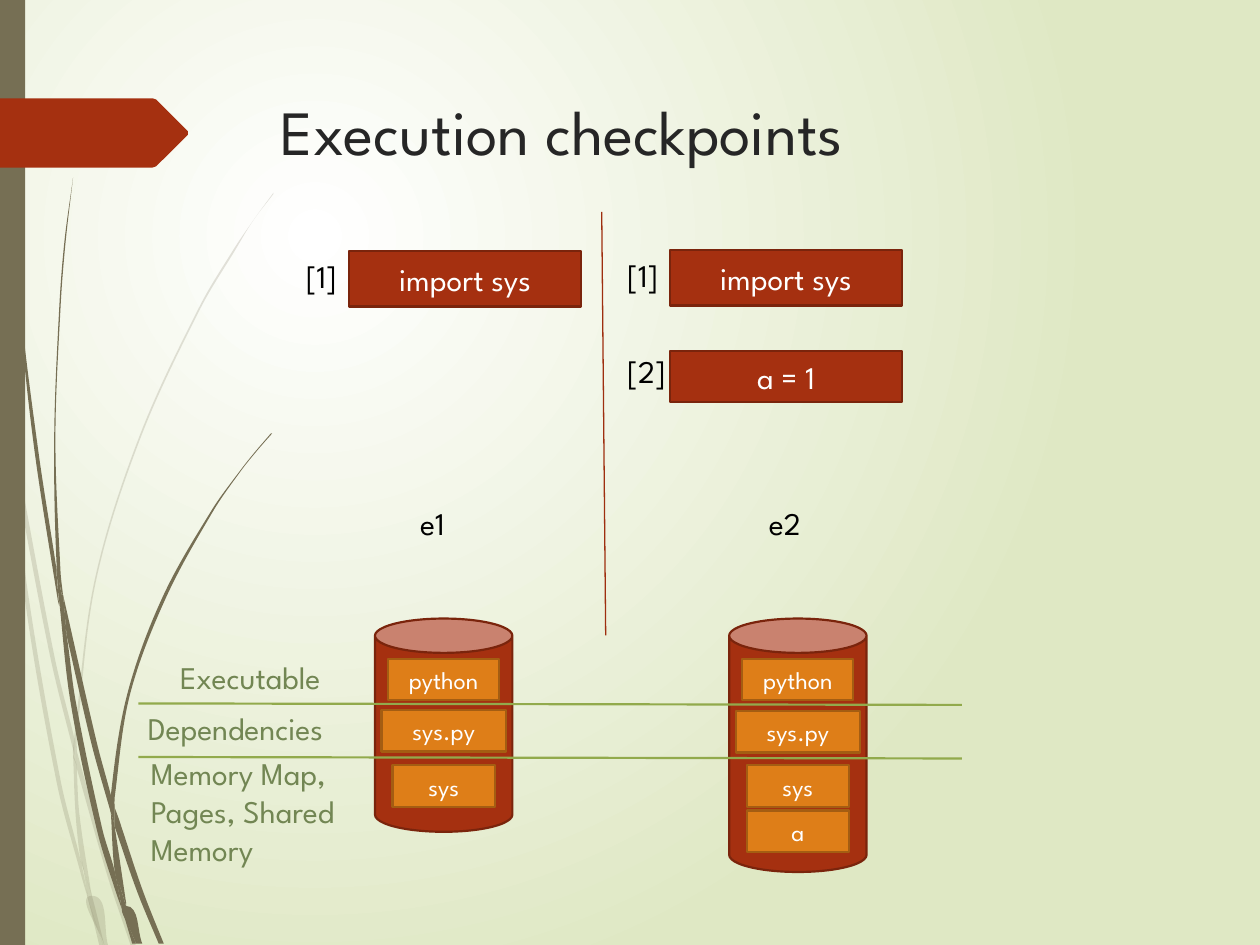
from lxml import etree
from pptx import Presentation
from pptx import util as u
from pptx.dml.color import RGBColor
from pptx.enum import shapes as kinds, text as styles
from pptx.oxml.ns import qn

FONT = "League Spartan"
COLORS = {
    "glow": "FFFFFF", "field": "DFE8C4", "stem": "766F54",
    "red": "A53010", "red edge": "7A240C", "red line": "9E2E0F",
    "orange": "DE7E18", "orange edge": "A45D12",
    "green line": "92AA4C", "green text": "728653",
    "title": "262626", "black": "000000", "white": "FFFFFF",
}

# Content: one column per checkpoint (lengths in cm)
TITLE = "Execution checkpoints"
CHECKPOINTS = [
    {"name": "e1", "name_left": 8.22, "number_left": 5.92, "cell_left": 7.04,
     "store_left": 7.56, "store_height": 4.3,
     "cells": [("[1]", "import sys", 5.05, 5.06, 1.12)],
     "layers": [("python", 2.24, 13.28), ("sys.py", 2.51, 14.31), ("sys", 2.06, 15.43)]},
    {"name": "e2", "name_left": 15.25, "number_left": 12.4, "cell_left": 13.51,
     "store_left": 14.7, "store_height": 5.11,
     "cells": [("[1]", "import sys", 5.03, 5.04, 1.12), ("[2]", "a = 1", 6.97, 7.07, 1.04)],
     "layers": [("python", 2.24, 13.28), ("sys.py", 2.51, 14.33), ("sys", 2.06, 15.43),
                ("a", 2.06, 16.34)]},
]
LAYER_LABELS = [
    ("Executable", 3.38, 13.14, 4.04, 1.02),
    ("Dependencies", 2.73, 14.17, 5.11, 1.02),
    ("Memory Map,\nPages, Shared\nMemory", 2.79, 15.08, 4.98, 2.57),
]
DIVIDERS = [
    (12.13, 4.27, 12.21, 12.81, "red line", 0.75),
    (2.79, 14.18, 19.39, 14.21, "green line", 1.25),
    (2.79, 15.26, 19.39, 15.29, "green line", 1.25),
]
CELL_WIDTH, STORE_WIDTH, STORE_TOP, LAYER_HEIGHT = 4.67, 2.77, 12.47, 0.84

# Grass outlines: x,y in units of 0.0254 cm, "/" parts the smooth edges
UNIT = 0.0254
PALE_GRASS = [
    "8,350 6,322 0,282 / 0,299 7,344 8,350",
    "12,376 40,522 59,599 / 59,586 43,520 10,345 / 12,376",
    "61,610 85,694 104,751 / 108,751 88,692 64,607 61,596",
    "83,751 / 86,751 73,711 83,751",
    "70,714 69,707 64,683 48,619 22,469 12,376 8,350 / 8,350 19,470 45,621 64,693 70,714",
    "58,599 60,646 64,683 67,692 73,711 / 73,711 72,706 63,646 61,610 61,608 58,599",
    "61,596 61,584 76,462 111,349 159,245 187,198 201,175 217,154 / "
    "217,153 201,175 186,197 158,244 110,348 75,461 59,584 59,586 61,596",
    "70,714 79,751 / 82,751 70,714",
    "61,608 61,610 61,596 / 59,586 58,599 61,608",
    "65,683 69,707 70,714 82,751 / 83,751 73,711 67,692 65,683",
]
DARK_GRASS = [
    "2,0 3,48 5,110 14,233 27,355 46,477 47,481 / 47,481 45,457 45,453 30,355 15,232 6,109 4,48 3,0",
    "53,505 73,592 88,645 / 88,633 88,631 77,590 50,472 / 53,505",
    "91,656 109,708 126,749 / 130,749 113,706 94,649 91,641",
    "97,722 96,717 91,691 81,657 60,556 53,505 47,477 / 47,477 56,557 77,659 92,708 97,722",
    "50,472 48,453 44,349 48,245 52,193 58,141 / 58,141 51,193 47,245 43,349 45,449 49,472",
    "110,749 / 113,749 100,719 110,749",
    "45,449 45,453 47,477 53,505 / 53,505 50,472 49,472 45,449",
    "91,641 91,633 103,552 131,476 169,406 191,374 203,359 216,344 / "
    "215,344 203,358 191,373 168,405 129,474 101,551 88,631 91,641",
    "97,722 105,749 / 108,749 97,722",
    "88,645 91,691 96,706 100,719 / 100,716 91,656 90,651 88,645",
    "88,645 90,651 91,656 / 91,641 88,631 88,645",
    "91,691 96,717 97,722 108,749 / 110,749 100,719 96,706 91,691",
]
TAG = "0,78 / 111,78 / 121,78 / 124,79 / 149,104 / 149,107 / 124,132 / 121,133 / 0,133"


def color(name):
    return RGBColor.from_string(COLORS[name])


def box(left, top, width, height):
    return [u.Cm(v) for v in (left, top, width, height)]


def trace(outline):
    """Corner points, each with the two handles of the curve that reaches it."""
    nodes = []
    for edge in outline.split("/"):
        anchors = [10 * complex(*map(float, pair.split(","))) for pair in edge.split()]
        last = len(anchors) - 1
        spans = [anchors[min(i + 1, last)] - anchors[max(i - 1, 0)] for i in range(last + 1)]
        headings = [span / (abs(span) or 1) for span in spans]
        if not nodes or nodes[-1][0] != anchors[0]:
            nodes.append((anchors[0], None))
        for i in range(last):
            a, b = anchors[i:i + 2]
            reach = abs(b - a) / 3
            nodes.append((b, (a + reach * headings[i], b - reach * headings[i + 1])))
    return nodes


def add_outline(slide, outline, fill, opacity=100):
    nodes = trace(outline)
    points = [(node.real, node.imag) for node, _ in nodes]
    left, top = (min(values) for values in zip(*points))
    builder = slide.shapes.build_freeform(*points[0], scale=u.Cm(UNIT) / 10)
    builder.add_line_segments(points[1:], close=True)
    piece = builder.convert_to_shape()
    # Bend the straight segments
    for segment, (_, handles) in zip(list(piece.element.iter(qn("a:lnTo"))), nodes[1:]):
        if handles:
            curve = etree.Element(qn("a:cubicBezTo"))
            for handle in handles:
                etree.SubElement(curve, qn("a:pt"), x=str(round(handle.real - left)),
                                 y=str(round(handle.imag - top)))
            curve.append(segment[0])
            segment.getparent().replace(segment, curve)
    paint(piece, fill)
    if opacity < 100:
        tint = piece.element.spPr.find(qn("a:solidFill"))[0]
        etree.SubElement(tint, qn("a:alpha")).set("val", str(opacity * 1000))


def paint(shape, fill, edge=None):
    shape.shadow.inherit = False
    shape.fill.solid()
    shape.fill.fore_color.rgb = color(fill)
    if edge:
        shape.line.color.rgb = color(edge)
        shape.line.width = u.Pt(1.25)
    else:
        shape.line.fill.background()


def write(frame, words, size, ink, align=styles.PP_ALIGN.LEFT):
    frame.text = words
    for paragraph in frame.paragraphs:
        paragraph.alignment = align
        paragraph.font.name = FONT
        paragraph.font.size = u.Pt(size)
        paragraph.font.color.rgb = color(ink)


def add_block(slide, kind, place, hue, words="", size=18):
    block = slide.shapes.add_shape(kind, *box(*place))
    paint(block, hue, hue + " edge")
    if words:
        block.text_frame.vertical_anchor = styles.MSO_ANCHOR.MIDDLE
        write(block.text_frame, words, size, "white", styles.PP_ALIGN.CENTER)


def add_label(slide, words, place, ink="black", wrap=True):
    frame = slide.shapes.add_textbox(*box(*place)).text_frame
    frame.word_wrap = wrap
    frame.auto_size = styles.MSO_AUTO_SIZE.SHAPE_TO_FIT_TEXT
    write(frame, words, 18, ink)


def add_backdrop(slide):
    fill = slide.background.fill
    fill.gradient()
    for stop, name in zip(fill.gradient_stops, ("glow", "field")):
        stop.color.rgb = color(name)
    gradient = next(slide.element.iter(qn("a:gradFill")))
    gradient.remove(gradient.find(qn("a:lin")))
    radial = etree.SubElement(gradient, qn("a:path"))
    radial.set("path", "circle")
    focus = etree.SubElement(radial, qn("a:fillToRect"))
    for side, value in zip("ltrb", (50000, 50000, 100000, 100000)):
        focus.set(side, str(value))
    for outline in PALE_GRASS:
        add_outline(slide, outline, "stem", 20)
    for outline in DARK_GRASS:
        add_outline(slide, outline, "stem")
    band = slide.shapes.add_shape(kinds.MSO_SHAPE.RECTANGLE, *box(0, 0, 0.51, 19.05))
    paint(band, "stem")
    add_outline(slide, TAG, "red")


def main():
    deck = Presentation()
    deck.slide_width, deck.slide_height = u.Cm(25.4), u.Cm(19.05)
    slide = deck.slides.add_slide(deck.slide_layouts[5])
    add_backdrop(slide)

    # Title
    title = slide.shapes.title
    title.left, title.top, title.width, title.height = box(5.4, 1.73, 18.31, 3.56)
    title.text_frame.vertical_anchor = styles.MSO_ANCHOR.TOP
    write(title.text_frame, TITLE, 36, "title")

    # Notebook cells and stored checkpoint layers
    rectangle, can = kinds.MSO_SHAPE.RECTANGLE, kinds.MSO_SHAPE.CAN
    for point in CHECKPOINTS:
        for number, code, number_top, top, height in point["cells"]:
            add_block(slide, rectangle, (point["cell_left"], top, CELL_WIDTH, height), "red", code)
            add_label(slide, number, (point["number_left"], number_top, 1.32, 1.02))
        add_label(slide, point["name"], (point["name_left"], 10.03, 1.37, 1.02))
        left = point["store_left"]
        add_block(slide, can, (left, STORE_TOP, STORE_WIDTH, point["store_height"]), "red")
        for layer, width, top in point["layers"]:
            centred = left + (STORE_WIDTH - width) / 2
            add_block(slide, rectangle, (centred, top, width, LAYER_HEIGHT), "orange", layer, 14)

    # Layer names and dividers
    for words, *place in LAYER_LABELS:
        add_label(slide, words, place, "green text", wrap=False)
    for *ends, hue, weight in DIVIDERS:
        divider = slide.shapes.add_connector(kinds.MSO_CONNECTOR.STRAIGHT, *box(*ends))
        divider.line.color.rgb = color(hue)
        divider.line.width = u.Pt(weight)
        etree.SubElement(divider.element.spPr, qn("a:effectLst"))

    deck.save("out.pptx")


if __name__ == "__main__":
    main()
